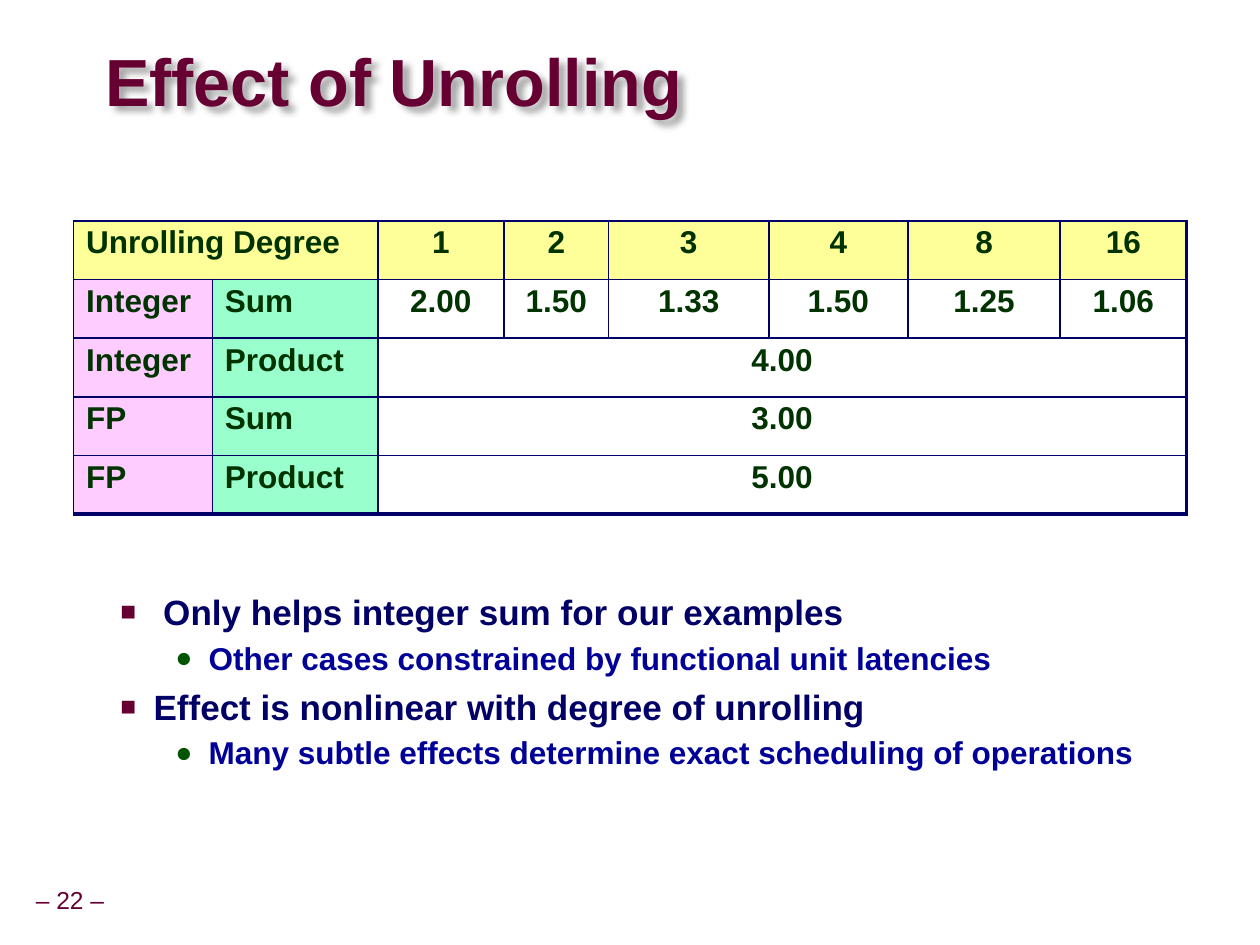
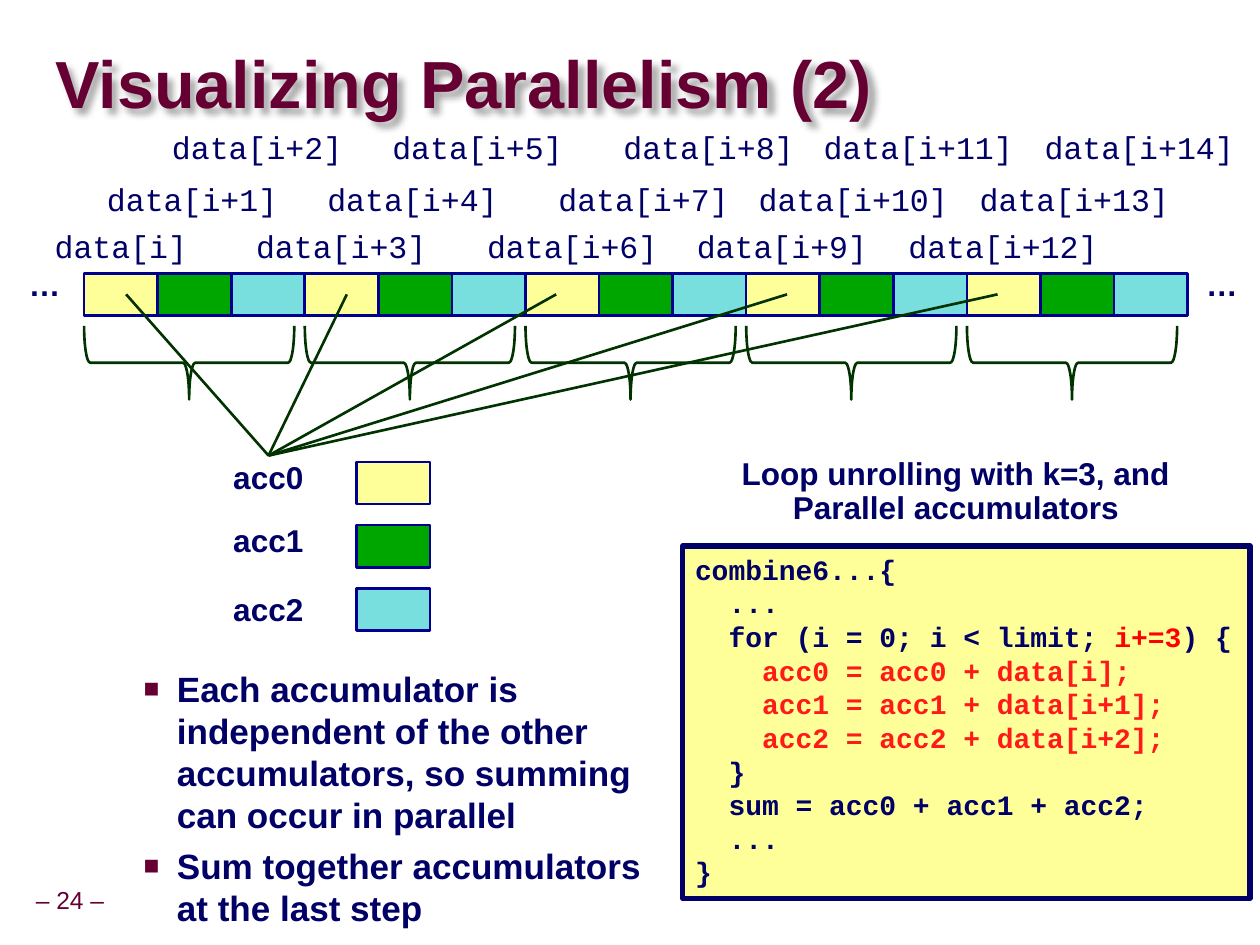
import pptx
import pptx.util
import pptx.dml.color
import pptx.enum.shapes
import pptx.enum.text
from lxml import etree

Pt = pptx.util.Pt
RGBColor = pptx.dml.color.RGBColor
SHAPE = pptx.enum.shapes.MSO_SHAPE
ALIGN = pptx.enum.text.PP_ALIGN
ANCHOR = pptx.enum.text.MSO_ANCHOR

# Shared look
MAROON = RGBColor(0x66, 0x00, 0x33)
NAVY = RGBColor(0x00, 0x00, 0x66)
BLUE = RGBColor(0x00, 0x00, 0x99)
OUTLINE = RGBColor(0x00, 0x00, 0x90)
DARK_GREEN = RGBColor(0x00, 0x33, 0x00)
DOT_GREEN = RGBColor(0x00, 0x54, 0x00)
YELLOW = RGBColor(0xFF, 0xFF, 0x99)
GREEN = RGBColor(0x00, 0xA6, 0x00)
CYAN = RGBColor(0x78, 0xDE, 0xDE)
PINK = RGBColor(0xFF, 0xCC, 0xFF)
MINT = RGBColor(0x99, 0xFF, 0xCC)
RED = RGBColor(0xFF, 0x00, 0x00)
LIGHT_RED = RGBColor(0xFF, 0x1A, 0x1A)
SANS, MONO = "Arial", "Courier New"
A_NS = "http://schemas.openxmlformats.org/drawingml/2006/main"

# Bullet levels: mark, mark colour, mark size %, left, hang, size, colour, spacing, space before
LEVELS = {
    1: ("■", MAROON, 75, 57.6, 19, 20, NAVY, 1.0, 5),
    2: ("●", DOT_GREEN, 90, 89, 19, 18, BLUE, 1.07, 1.8),
}

# Content: unrolling table
DEGREES = ["Unrolling Degree", None, "1", "2", "3", "4", "8", "16"]
RESULTS = [
    ["Integer", "Sum", "2.00", "1.50", "1.33", "1.50", "1.25", "1.06"],
    ["Integer", "Product", "4.00"],
    ["FP", "Sum", "3.00"],
    ["FP", "Product", "5.00"],
]
COLUMN_WIDTHS = [79.2, 94.5, 72, 59.8, 91.4, 79.4, 87, 72]
ROW_HEIGHT = 33.5
UNROLLING_NOTES = [
    (1, " Only helps integer sum for our examples"),
    (2, "Other cases constrained by functional unit latencies"),
    (1, "Effect is nonlinear with degree of unrolling"),
    (2, "Many subtle effects determine exact scheduling of operations"),
]

# Content: parallel accumulators
ACCUMULATORS = [("acc0", YELLOW, 260), ("acc1", GREEN, 296), ("acc2", CYAN, 335.5)]
GROUP_CENTRES = [69, 194.8, 326.7, 446.4, 572.6]
LABEL_STEPS = [(0, 128.2), (40.7, 101.5), (77.8, 72)]
LINK_ENDS = [72, 198, 317.5, 449.3, 569.5]
PARALLEL_NOTES = [
    (1, "Each accumulator is independent of the other accumulators, "
        "so summing can occur in parallel"),
    (1, "Sum together accumulators at the last step"),
]
CODE = [
    [("combine6...{", NAVY)],
    [("  ...", NAVY)],
    [("  for (i = 0; i < limit; ", NAVY), ("i+=3", RED), (") {", NAVY)],
    [("    acc0 = acc0 + data[i];", LIGHT_RED)],
    [("    acc1 = acc1 + data[i+1];", LIGHT_RED)],
    [("    acc2 = acc2 + data[i+2];", LIGHT_RED)],
    [("  }", NAVY)],
    [("  sum = acc0 + acc1 + acc2;", NAVY)],
    [("  ...", NAVY)],
    [("}", NAVY)],
]


def add_xml(parent, tag, **attributes):
    return etree.SubElement(parent, f"{{{A_NS}}}{tag}", attributes)


def set_font(paragraph, size, color, bold=True, name=SANS):
    font = paragraph.font
    font.name, font.size, font.bold = name, Pt(size), bold
    font.color.rgb = color


def add_text(slide, box, lines, size, color, bold=True, name=SANS,
             align=ALIGN.CENTER, spacing=0.9, wrap=False):
    label = slide.shapes.add_textbox(*map(Pt, box))
    frame = label.text_frame
    frame.word_wrap = wrap
    for i, line in enumerate(lines):
        paragraph = frame.paragraphs[0] if i == 0 else frame.add_paragraph()
        paragraph.text = line
        paragraph.alignment = align
        paragraph.line_spacing = spacing
        set_font(paragraph, size, color, bold, name)
    return label


def add_centred(slide, centre, top, text, width=124, **style):
    add_text(slide, (centre - width / 2, top, width, 27.4), [text], 18, NAVY, **style)


def add_notes_list(slide, box, notes):
    frame = slide.shapes.add_textbox(*map(Pt, box)).text_frame
    frame.word_wrap = True
    for i, (level, text) in enumerate(notes):
        mark, mark_color, percent, left, hang, size, color, spacing, before = LEVELS[level]
        paragraph = frame.paragraphs[0] if i == 0 else frame.add_paragraph()
        paragraph.text = text
        properties = paragraph._p.get_or_add_pPr()
        properties.set("marL", str(Pt(left)))
        properties.set("indent", str(-Pt(hang)))
        add_xml(add_xml(properties, "buClr"), "srgbClr", val=str(mark_color))
        add_xml(properties, "buSzPct", val=str(percent * 1000))
        add_xml(properties, "buFont", typeface=SANS)
        add_xml(properties, "buChar", char=mark)
        paragraph.line_spacing = spacing
        if i:
            paragraph.space_before = Pt(before)
        set_font(paragraph, size, color)


def add_block(slide, kind, box, fill, line, line_width=1.5):
    block = slide.shapes.add_shape(kind, *map(Pt, box))
    block.shadow.inherit = False
    if fill is None:
        block.fill.background()
    else:
        block.fill.solid()
        block.fill.fore_color.rgb = fill
    block.line.color.rgb = line
    block.line.width = Pt(line_width)
    return block


def new_slide(deck, title, title_left, title_top, number):
    slide = deck.slides.add_slide(deck.slide_layouts[6])
    add_text(slide, (10, 503.3, 60, 23), [f"– {number} –"], 14, MAROON, bold=False)
    heading = add_text(slide, (title_left, title_top, 680, 60), [title], 38, MAROON,
                       align=ALIGN.LEFT, spacing=0.87, wrap=True)
    frame = heading.text_frame
    frame.vertical_anchor = ANCHOR.MIDDLE
    frame.margin_left = frame.margin_right = frame.margin_top = frame.margin_bottom = 0
    # Soft shadow behind the title letters
    effects = add_xml(heading._element.spPr, "effectLst")
    shadow = add_xml(effects, "outerShdw", blurRad=str(Pt(4)), dist=str(Pt(4)),
                     dir="2700000", algn="tl", rotWithShape="0")
    add_xml(add_xml(shadow, "srgbClr", val="000000"), "alpha", val="35000")
    return slide


def style_cell(cell, text, fill, centred, borders):
    cell.text = text
    paragraph = cell.text_frame.paragraphs[0]
    paragraph.alignment = ALIGN.CENTER if centred else ALIGN.LEFT
    paragraph.line_spacing = 0.95
    set_font(paragraph, 18, DARK_GREEN)
    properties = cell._tc.get_or_add_tcPr()
    for side, width in zip(("lnL", "lnR", "lnT", "lnB"), borders):
        edge = add_xml(properties, side, w=str(Pt(width)))
        add_xml(add_xml(edge, "solidFill"), "srgbClr", val=str(NAVY))
    if fill is None:
        cell.fill.background()
    else:
        cell.fill.solid()
        cell.fill.fore_color.rgb = fill


def build_unrolling(deck):
    slide = new_slide(deck, "Effect of Unrolling", 60, 18.6, 22)
    rows = [DEGREES] + RESULTS
    last_row, last_column = len(rows) - 1, len(COLUMN_WIDTHS) - 1
    frame = slide.shapes.add_table(len(rows), len(COLUMN_WIDTHS), Pt(42), Pt(126),
                                   Pt(sum(COLUMN_WIDTHS)), Pt(ROW_HEIGHT * len(rows)))
    table = frame.table
    table.first_row = table.horz_banding = False
    for column, width in zip(table.columns, COLUMN_WIDTHS):
        column.width = Pt(width)
    for r, values in enumerate(rows):
        table.rows[r].height = Pt(ROW_HEIGHT)
        for c, text in enumerate(values):
            if text is None:
                continue
            # A value spans the empty columns to its right
            end = c
            while end < last_column and (end + 1 >= len(values) or values[end + 1] is None):
                end += 1
            cell = table.cell(r, c)
            if end > c:
                cell.merge(table.cell(r, end))
            fill = YELLOW if r == 0 else {0: PINK, 1: MINT}.get(c)
            borders = (1, 2.25 if end == last_column else 1,
                       1, 2.25 if r == last_row else 1)
            style_cell(cell, text, fill, c > 1, borders)
    add_notes_list(slide, (23, 333.7, 653, 172.8), UNROLLING_NOTES)


def build_parallelism(deck):
    slide = new_slide(deck, "Visualizing Parallelism (2)", 31.7, 19.8, 24)
    cell_width, cell_height, array_left, array_top = 42, 24, 48, 156
    group_size = len(ACCUMULATORS)
    group_width = cell_width * group_size

    # Array cells, labels and braces
    for group, centre in enumerate(GROUP_CENTRES):
        group_left = array_left + group * group_width
        for k, (_, color, _) in enumerate(ACCUMULATORS):
            add_block(slide, SHAPE.RECTANGLE,
                      (group_left + k * cell_width, array_top, cell_width, cell_height),
                      color, OUTLINE)
            index = group * group_size + k
            shift, top = LABEL_STEPS[k]
            add_centred(slide, centre + shift, top, f"data[i+{index}]" if index else "data[i]",
                        bold=False, name=MONO)
        brace = add_block(slide, SHAPE.LEFT_BRACE, (group_left + 39, 147, 42, 120),
                          None, DARK_GREEN)
        brace.adjustments[0] = 0.083
        brace.rotation = 270
    for centre in (25.5, 697.5):
        add_centred(slide, centre, 150, "…", width=32.4)

    # Links from acc0 to its elements
    for end in LINK_ENDS:
        link = slide.shapes.add_connector(pptx.enum.shapes.MSO_CONNECTOR.STRAIGHT,
                                          Pt(153.3), Pt(260), Pt(end), Pt(168))
        link.line.color.rgb = DARK_GREEN
        link.line.width = Pt(1.5)
        add_xml(link._element.spPr, "effectLst")

    # Accumulator legend
    for k, (name, color, top) in enumerate(ACCUMULATORS):
        add_centred(slide, 153.2, top, name, width=58)
        add_block(slide, SHAPE.RECTANGLE, (203.6, 263.7 + 36 * k, cell_width, cell_height),
                  color, OUTLINE)

    # Code listing
    add_text(slide, (410, 258, 271.4, 46.8),
             ["Loop unrolling with k=3, and", "Parallel accumulators"], 18, NAVY)
    listing = add_block(slide, SHAPE.RECTANGLE, (389.7, 311.6, 324, 201), YELLOW, NAVY, 3)
    frame = listing.text_frame
    frame.word_wrap = True
    frame.vertical_anchor = ANCHOR.TOP
    for i, pieces in enumerate(CODE):
        paragraph = frame.paragraphs[0] if i == 0 else frame.add_paragraph()
        paragraph.alignment = ALIGN.LEFT
        set_font(paragraph, 16, NAVY, name=MONO)
        for text, color in pieces:
            run = paragraph.add_run()
            run.text = text
            run.font.color.rgb = color

    add_notes_list(slide, (36.3, 377.4, 341.3, 114), PARALLEL_NOTES)


def main():
    deck = pptx.Presentation()
    deck.slide_width, deck.slide_height = Pt(719.28), Pt(539.28)
    build_unrolling(deck)
    build_parallelism(deck)
    deck.save("out.pptx")


if __name__ == "__main__":
    main()
